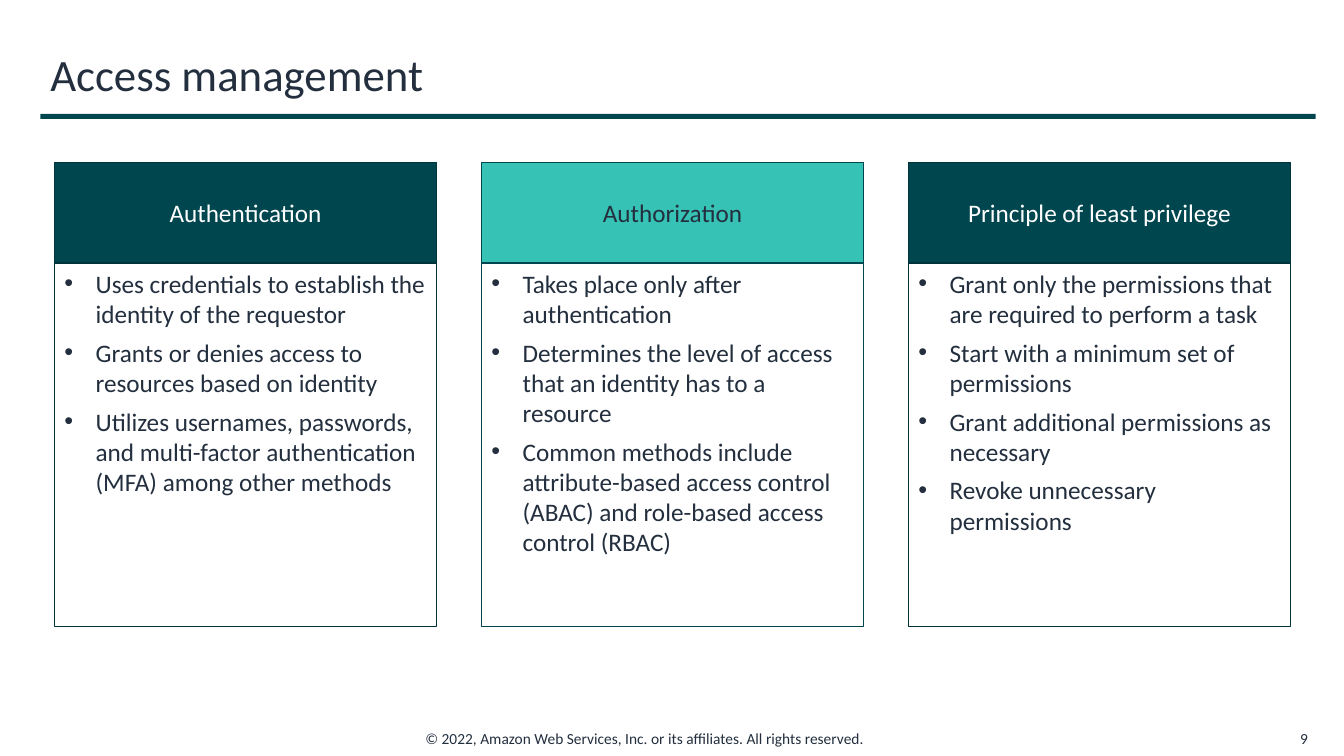
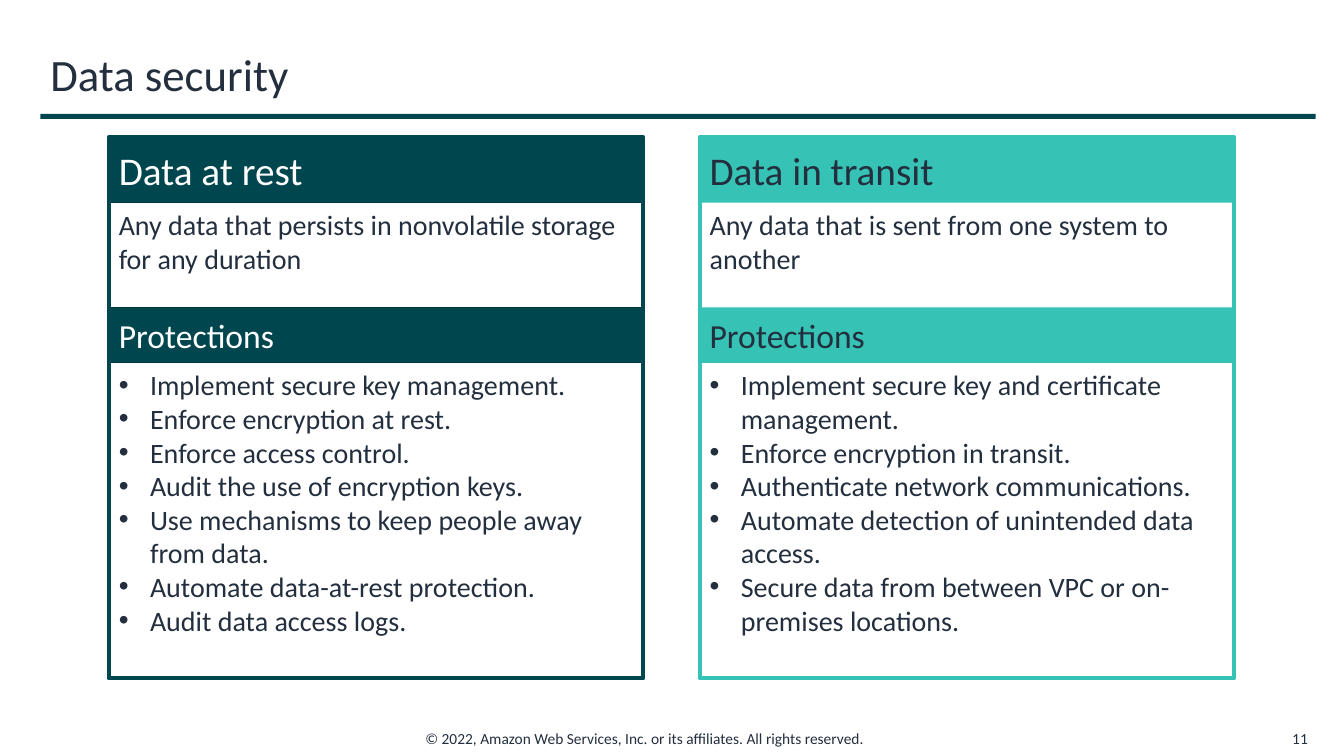
from dataclasses import dataclass

from lxml.etree import SubElement
from pptx import Presentation
from pptx.dml.color import RGBColor
from pptx.enum.shapes import MSO_SHAPE as Shape
from pptx.enum.text import MSO_ANCHOR as Anchor, PP_ALIGN as Align
from pptx.oxml.ns import qn
from pptx.util import Inches, Pt


@dataclass(frozen=True)
class Theme:
    font: str = "Calibri"
    ink: str = "232F3E"
    white: str = "FFFFFF"
    dark: str = "00464F"
    edge: str = "00343A"
    teal: str = "36C2B4"
    title: int = 32
    heading: int = 28
    subheading: int = 24
    body: int = 20
    card: int = 18
    footer: int = 11
    thin: float = 0.85
    thick: float = 3
    indent: float = 0.31


THEME = Theme()
FOOTER = "© 2022, Amazon Web Services, Inc. or its affiliates. All rights reserved."


def add_block(page, at, lines=(), size=THEME.body, color=THEME.ink, fill=None,
              line=None, weight=THEME.thin, align=Align.LEFT, anchor=Anchor.TOP,
              bullets=False, space_after=0):
    """Add a rectangle, or a text box when it has neither fill nor line."""
    place = [Inches(length) for length in at]
    if fill or line:
        box = page.shapes.add_shape(Shape.RECTANGLE, *place)
        box.shadow.inherit = False
        if fill:
            box.fill.solid()
            box.fill.fore_color.rgb = RGBColor.from_string(fill)
        else:
            box.fill.background()
        if line:
            box.line.color.rgb = RGBColor.from_string(line)
            box.line.width = Pt(weight)
        else:
            box.line.fill.background()
    else:
        box = page.shapes.add_textbox(*place)
    frame = box.text_frame
    frame.word_wrap = True
    frame.vertical_anchor = anchor
    for index, text in enumerate(lines):
        para = frame.paragraphs[0] if index == 0 else frame.add_paragraph()
        para.text = text
        para.alignment = align
        para.space_after = Pt(space_after)
        if bullets:
            props = para._p.get_or_add_pPr()
            props.set("marL", str(Inches(THEME.indent)))
            props.set("indent", str(-Inches(THEME.indent)))
            SubElement(props, qn("a:buFont"), typeface="Arial")
            SubElement(props, qn("a:buChar"), char="•")
        para.font.name = THEME.font
        para.font.size = Pt(size)
        para.font.color.rgb = RGBColor.from_string(color)


def add_page(deck, title, number):
    page = deck.slides.add_slide(deck.slide_layouts[6])
    add_block(page, (4.12, 7.18, 5.09, 0.29), [FOOTER], THEME.footer)
    add_block(page, (0.4, 1.13, 12.65, 0.05), fill=THEME.dark)
    add_block(page, (12.54, 7.18, 0.53, 0.29), [number], THEME.footer,
              align=Align.RIGHT, anchor=Anchor.MIDDLE)
    add_block(page, (0.4, 0.33, 12.65, 0.8), [title], THEME.title, anchor=Anchor.MIDDLE)
    return page


deck = Presentation()
deck.slide_width, deck.slide_height = Inches(13.33), Inches(7.5)

# Access management: three cards
page = add_page(deck, "Access management", "9")
cards = [
    ("Authentication", THEME.dark, THEME.white, THEME.edge, [
        "Uses credentials to establish the identity of the requestor",
        "Grants or denies access to resources based on identity",
        "Utilizes usernames, passwords, and multi-factor authentication (MFA) among other methods",
    ]),
    ("Authorization", THEME.teal, THEME.ink, THEME.dark, [
        "Takes place only after authentication",
        "Determines the level of access that an identity has to a resource",
        "Common methods include attribute-based access control (ABAC) "
        "and role-based access control (RBAC)",
    ]),
    ("Principle of least privilege", THEME.dark, THEME.white, THEME.edge, [
        "Grant only the permissions that are required to perform a task",
        "Start with a minimum set of permissions",
        "Grant additional permissions as necessary",
        "Revoke unnecessary permissions",
    ]),
]
card_left, card_right, card_width = 0.54, 12.8, 3.79
card_top, header_height, list_height = 1.61, 1, 3.61
card_step = (card_right - card_left - card_width) / (len(cards) - 1)
for column, (heading, fill, color, edge, points) in enumerate(cards):
    left = card_left + column * card_step
    add_block(page, (left, card_top, card_width, header_height), [heading], THEME.card,
              color, fill, edge, align=Align.CENTER, anchor=Anchor.MIDDLE)
    add_block(page, (left, card_top + header_height, card_width, list_height), points,
              THEME.card, line=edge, bullets=True, space_after=6)

# Data security: two framed panels
page = add_page(deck, "Data security", "11")
panels = [
    ("Data at rest", THEME.dark, THEME.white, THEME.edge,
     "Any data that persists in nonvolatile storage for any duration", [
         "Implement secure key management.",
         "Enforce encryption at rest.",
         "Enforce access control.",
         "Audit the use of encryption keys.",
         "Use mechanisms to keep people away from data.",
         "Automate data-at-rest protection.",
         "Audit data access logs.",
     ]),
    ("Data in transit", THEME.teal, THEME.ink, None,
     "Any data that is sent from one system to another", [
         "Implement secure key and certificate management.",
         "Enforce encryption in transit.",
         "Authenticate network communications.",
         "Automate detection of unintended data access.",
         "Secure data from between VPC or on-premises locations.",
     ]),
]
panel_left, panel_width, panel_gap = 1.08, 5.3, 0.56
panel_top, panel_height = 1.36, 5.37
for column, (heading, fill, color, edge, summary, points) in enumerate(panels):
    left = panel_left + column * (panel_width + panel_gap)
    bands = [(heading, panel_top, 0.65, THEME.heading),
             ("Protections", 3.05, 0.55, THEME.subheading)]
    for text, top, height, size in bands:
        add_block(page, (left, top, panel_width, height), [text], size, color, fill, edge,
                  anchor=Anchor.MIDDLE)
    add_block(page, (left, 2.01, panel_width, 0.88), [summary])
    add_block(page, (left, 3.6, panel_width, 3.13), points, bullets=True)
    add_block(page, (left, panel_top, panel_width, panel_height), line=fill,
              weight=THEME.thick)

deck.save("out.pptx")
